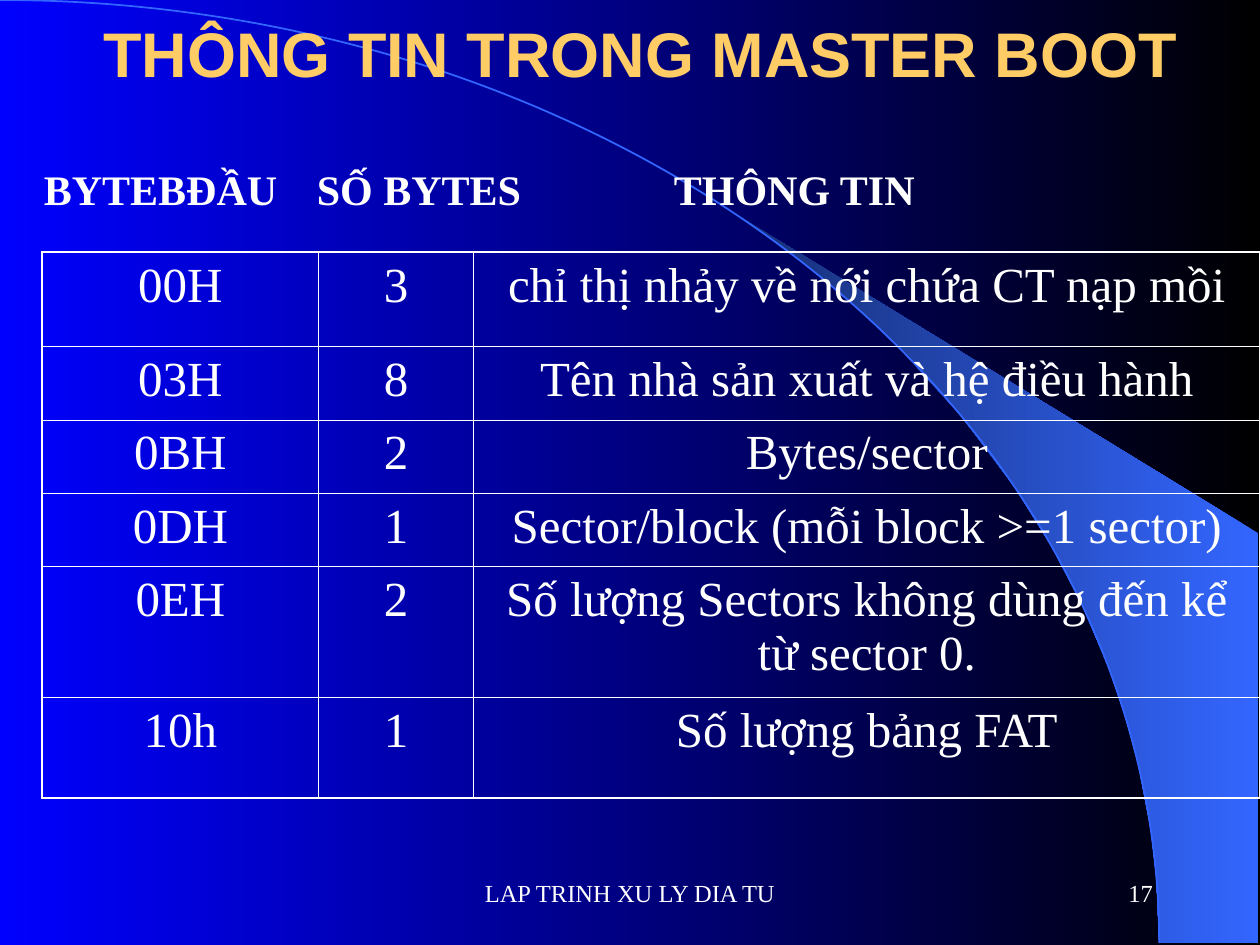
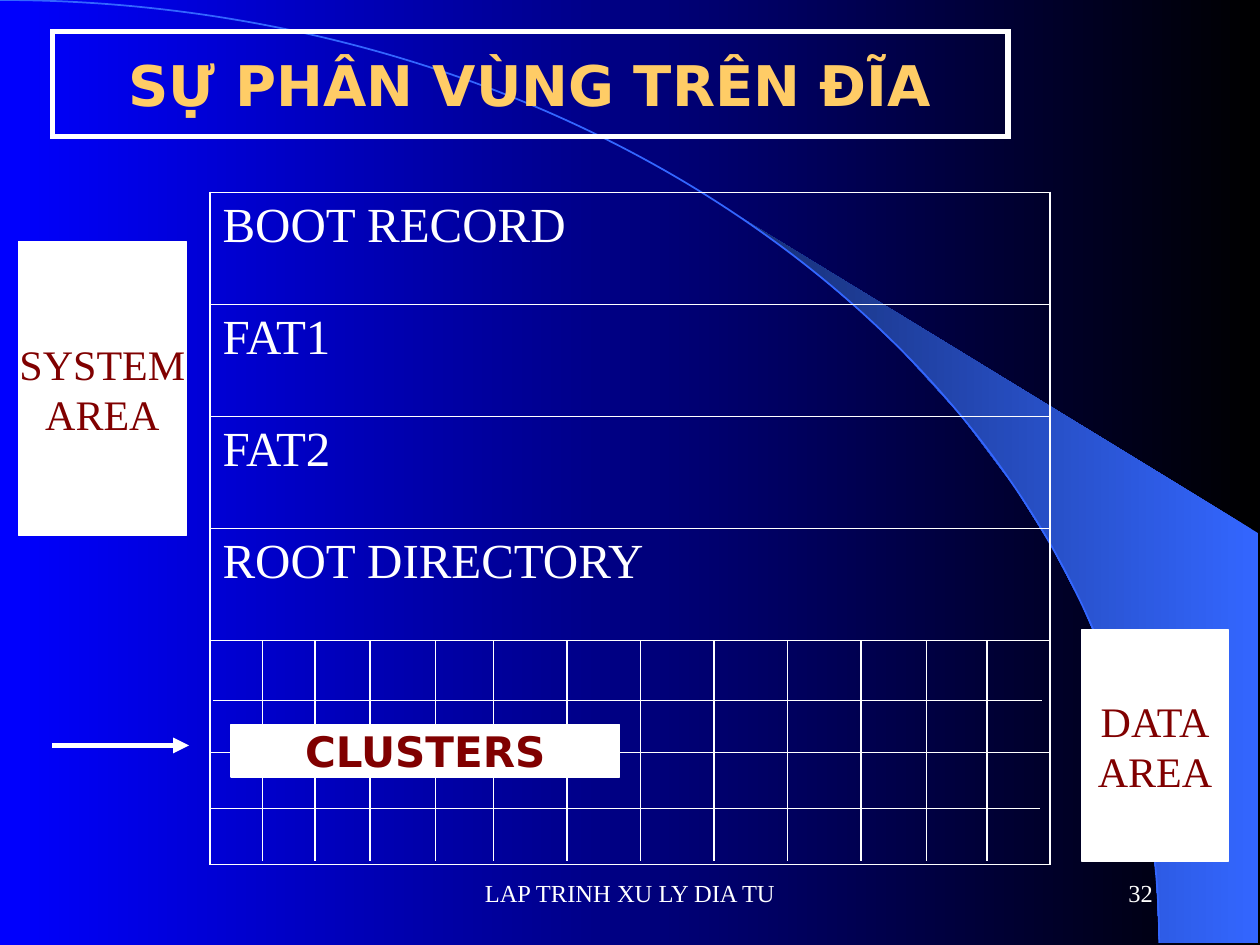
from math import sin, cos, radians
from lxml.etree import SubElement as Sub
from pptx import Presentation
from pptx.dml.color import RGBColor
from pptx.enum.shapes import MSO_CONNECTOR as Link, MSO_SHAPE as Form
from pptx.enum.text import MSO_ANCHOR as Anchor, MSO_AUTO_SIZE as Auto, PP_ALIGN as Align
from pptx.oxml.ns import qn
from pptx.util import Inches, Pt

WHITE, GOLD, RED, SKY = "FFFFFF", "FFCC66", "800000", "3366FF"
SERIF, SANS, WIDE = "Times New Roman", "Arial", "DejaVu Sans"
MID = {"vertical_anchor": Anchor.MIDDLE, "word_wrap": True, "auto_size": Auto.NONE}
LOOSE = MID | {"word_wrap": False}
tint = RGBColor.from_string

deck = Presentation()
deck.slide_width, deck.slide_height = Inches(10), Inches(7.5)
UNIT = deck.slide_width / 120


def grid(*cells):
    return [round(cell * UNIT) for cell in cells]


def write(frame, text, hue, frame_set, para_set, **font_set):
    frame.text = text
    for key, val in frame_set.items():
        setattr(frame, key, val)
    for para in frame.paragraphs:
        for key, val in para_set.items():
            setattr(para, key, val)
        for run in para.runs:
            run.font.color.rgb = tint(hue)
            for key, val in font_set.items():
                setattr(run.font, key, val)


look = deck.slide_layouts[5]
boot, disk = [deck.slides.add_slide(look) for _ in range(2)]

RX, RY = 110.4, 89.8
turns = [radians(deg) for deg in (43, 45, 48, 51, 56, 61, 65, 69, 73, 76, 79, 83, 86, 90)]
curve = [grid(RX * sin(turn), RY * (1 - cos(turn))) for turn in turns]
pen = boot.shapes.build_freeform(*grid(70.7, 20.8), scale=1)
pen.add_line_segments(curve + [grid(119.85, 89.85), grid(119.85, 50.8)], close=True)
wedge = pen.convert_to_shape()
wedge.line.fill.background()
arc = boot.shapes.add_shape(Form.ARC, *grid(-RX, 0, 2 * RX, 2 * RY))
arc.fill.background()
arc.line.color.rgb, arc.line.width = tint(SKY), Pt(1)
for spot, part in enumerate((wedge, arc), 2):
    part.shadow.inherit = False
    look.shapes._spTree.insert(spot, part._element)

for fill, ends in (
    (deck.slide_master.background.fill, ("000000", "0000FF")),
    (wedge.fill, (SKY, "172F75")),
):
    fill.gradient()
    fill.gradient_angle = 180
    for stop, hue, pos in zip(fill.gradient_stops, ends, (0, 1)):
        stop.color.rgb, stop.position = tint(hue), pos

for page, text, area, font, size in (
    (boot, "THÔNG TIN TRONG MASTER BOOT", (7, 0, 108, 10), SANS, 36),
    (disk, "SỰ PHÂN VÙNG TRÊN ĐĨA", (5, 3, 91, 10), WIDE, 32),
):
    head = page.shapes.title
    for key, val in zip(("left", "top", "width", "height"), grid(*area)):
        setattr(head, key, val)
    write(head.text_frame, text, GOLD, MID, {"alignment": Align.CENTER},
          name=font, size=Pt(size), bold=True)
head.line.color.rgb, head.line.width = tint(WHITE), Pt(3)
Sub(head.line._get_or_add_ln(), qn("a:miter"), lim="800000")

label = boot.shapes.add_textbox(*grid(3, 15, 117, 6)).text_frame
write(label, "BYTEBĐẦU\tSỐ BYTES\tTHÔNG TIN", WHITE, {"word_wrap": True},
      {"space_before": Pt(15)}, name=SERIF, size=Pt(24), bold=True)
tabs = Sub(label.paragraphs[0]._p.get_or_add_pPr(), qn("a:tabLst"))
for pos in grid(26, 60):
    Sub(tabs, qn("a:tab"), pos=str(pos), algn="l")

fields = [
    ("00H", "3", "chỉ thị nhảy về nới chứa CT nạp mồi"),
    ("03H", "8", "Tên nhà sản xuất và hệ điều hành"),
    ("0BH", "2", "Bytes/sector"),
    ("0DH", "1", "Sector/block (mỗi block >=1 sector)"),
    ("0EH", "2", "Số lượng Sectors không dùng đến kể từ sector 0."),
    ("10h", "1", "Số lượng bảng FAT"),
]
zones = [("BOOT RECORD",), ("FAT1",), ("FAT2",), ("ROOT DIRECTORY",), ("",), ("",)]
for page, data, start, wide, high, side in (
    (boot, fields, (4, 24), (26.35, 14.75, 74.9), (9, 7, 7, 6.95, 12.45, 9.6), Align.CENTER),
    (disk, zones, (20, 18.33), (80,), (10.67,) * 6, Align.LEFT),
):
    table = page.shapes.add_table(len(high), len(wide), *grid(*start, sum(wide), sum(high))).table
    table.first_row = table.horz_banding = False
    for col, span in zip(table.columns, grid(*wide)):
        col.width = span
    for row, span in zip(table.rows, grid(*high)):
        row.height = span
    for y, line in enumerate(data):
        for x, text in enumerate(line):
            cell = table.cell(y, x)
            write(cell.text_frame, text, WHITE, {},
                  {"alignment": side, "space_before": Pt(7)}, name=SERIF, size=Pt(28))
            rims = {"L": x == 0, "R": x == len(wide) - 1, "T": y == 0, "B": y == len(high) - 1}
            props = cell._tc.get_or_add_tcPr()
            for edge, rim in rims.items():
                rule = Sub(props, qn("a:ln" + edge), w=str(Pt(1.08 if rim else 0.45)))
                Sub(Sub(rule, qn("a:solidFill")), qn("a:srgbClr"), val=WHITE)
            cell.fill.background()

falls = [(x, 61, x, 82) for x in (25, 30, 35.25, 41.5, 47, 54, 61, 68, 75, 82, 88.25, 94)]
spans = [(20.25, 66.75, 99.25, 66.75), (20, 77, 99, 77)]
for ends in falls + spans + [(5, 71, 18, 71)]:
    link = disk.shapes.add_connector(Link.STRAIGHT, *grid(*ends))
    link.line.color.rgb, link.line.width = tint(WHITE), Pt(0.75)
    Sub(link._element.spPr, qn("a:effectLst"))
link.line.width = Pt(3)
Sub(link.line._get_or_add_ln(), qn("a:tailEnd"), type="triangle")

for text, area, font, bold in (
    ("CLUSTERS", (22, 69, 37, 5), WIDE, True),
    ("SYSTEM\nAREA", (1.75, 23, 16, 28), SERIF, False),
    ("DATA\nAREA", (103, 60, 14, 22), SERIF, False),
):
    box = disk.shapes.add_shape(Form.RECTANGLE, *grid(*area))
    box.shadow.inherit = False
    box.fill.solid()
    box.fill.fore_color.rgb = box.line.color.rgb = tint(WHITE)
    box.line.width = Pt(0.75)
    write(box.text_frame, text, RED, LOOSE, {"alignment": Align.CENTER},
          name=font, size=Pt(24), bold=bold)

for page, num in ((boot, "17"), (disk, "32")):
    for text, area, side in (
        ("LAP TRINH XU LY DIA TU", (41, 82, 38, 6), Align.CENTER),
        (num, (86, 82, 25, 6), Align.RIGHT),
    ):
        foot = page.shapes.add_textbox(*grid(*area)).text_frame
        write(foot, text, WHITE, MID, {"alignment": side}, name=SERIF, size=Pt(14))

deck.save("out.pptx")
